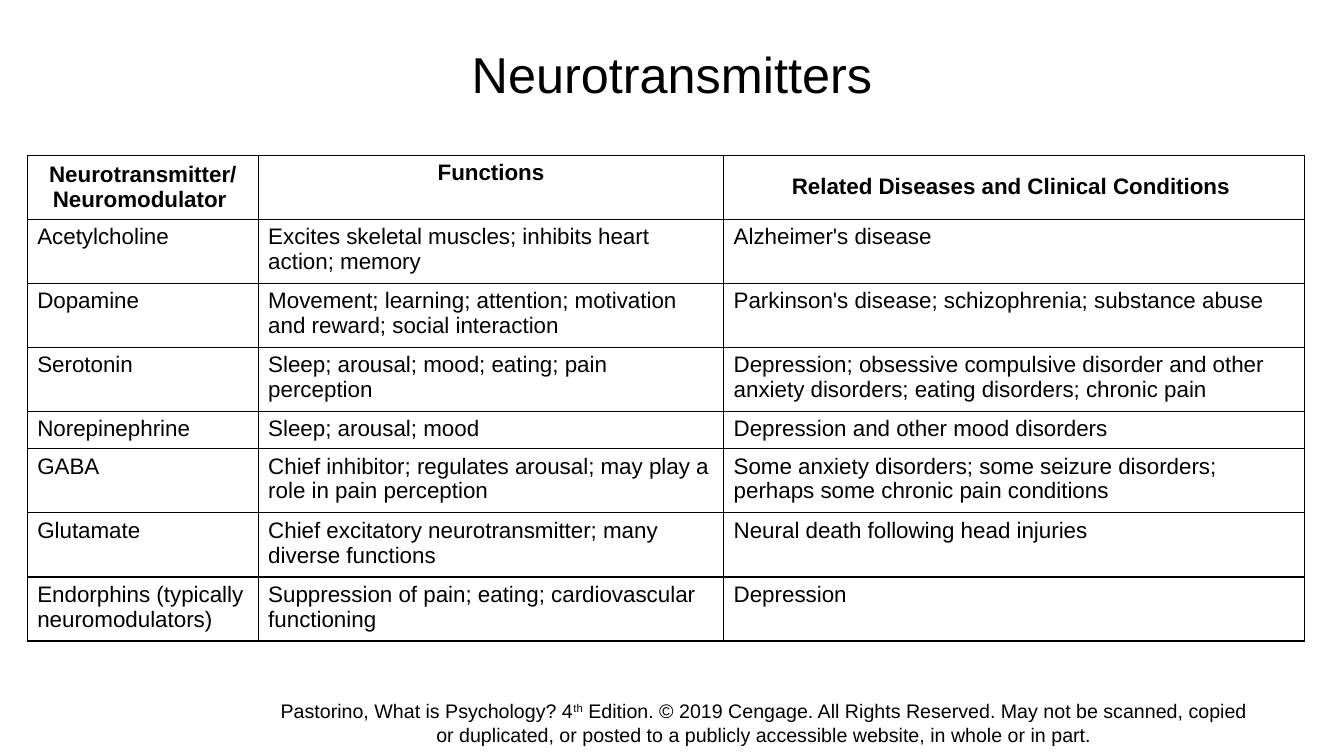
from dataclasses import dataclass

from lxml.etree import SubElement
from pptx import Presentation
from pptx.dml.color import RGBColor
from pptx.enum.text import MSO_ANCHOR as Anchor, PP_ALIGN as Align
from pptx.oxml import parse_xml
from pptx.oxml.ns import nsdecls, qn
from pptx.util import Cm, Pt


@dataclass(frozen=True)
class Theme:
    font: str = "Arial"
    ink: str = "000000"
    paper: str = "FFFFFF"
    title: int = 36
    table: int = 16
    footer: int = 14
    border: float = 1


THEME = Theme()
COLUMN_WIDTHS = (5.82, 11.73, 14.63)
ONE_LINE, TWO_LINES = 0.88, 1.51
HEADINGS = (
    ("Neurotransmitter/\nNeuromodulator ", Anchor.MIDDLE),
    ("Functions", Anchor.TOP),
    ("Related Diseases and Clinical Conditions ", Anchor.MIDDLE),
)
TRANSMITTERS = (
    ("Acetylcholine", "Excites skeletal muscles; inhibits heart action; memory",
     "Alzheimer's disease"),
    ("Dopamine",
     "Movement; learning; attention; motivation and reward; social interaction",
     "Parkinson's disease; schizophrenia; substance abuse"),
    ("Serotonin", "Sleep; arousal; mood; eating; pain perception",
     "Depression; obsessive compulsive disorder and other anxiety disorders; "
     "eating disorders; chronic pain"),
    ("Norepinephrine", "Sleep; arousal; mood",
     "Depression and other mood disorders"),
    ("GABA",
     "Chief inhibitor; regulates arousal; may play a role in pain perception",
     "Some anxiety disorders; some seizure disorders; "
     "perhaps some chronic pain conditions"),
    ("Glutamate", "Chief excitatory neurotransmitter; many diverse functions",
     "Neural death following head injuries"),
    ("Endorphins (typically neuromodulators)",
     "Suppression of pain; eating; cardiovascular functioning", "Depression"),
)
COPYRIGHT = (
    ("Pastorino, What is Psychology? 4", False),
    ("th", True),
    (" Edition. © 2019 Cengage. All Rights Reserved. May not be scanned, "
     "copied or duplicated, or posted to a publicly accessible website, "
     "in whole or in part.", False),
)


def style(paragraph, size, align, bold=False):
    paragraph.alignment = align
    font = paragraph.font
    font.name, font.size, font.bold = THEME.font, Pt(size), bold
    font.color.rgb = RGBColor.from_string(THEME.ink)


def add_frame(slide, box, bottom_inset=0):
    """Add a wrapped, middle-anchored text box and return its text frame."""
    frame = slide.shapes.add_textbox(*map(Cm, box)).text_frame
    frame.word_wrap = True
    frame.vertical_anchor = Anchor.MIDDLE
    frame.margin_left = frame.margin_right = frame.margin_top = 0
    frame.margin_bottom = Cm(bottom_inset)
    return frame


def add_title(slide, box):
    title = add_frame(slide, box).paragraphs[0]
    title.text = "Neurotransmitters"
    title.line_spacing = 0.9
    style(title, THEME.title, Align.CENTER)


def add_footer(slide, box):
    notice = add_frame(slide, box, bottom_inset=0.13).paragraphs[0]
    style(notice, THEME.footer, Align.CENTER)
    for words, raised in COPYRIGHT:
        run = notice.add_run()
        run.text = words
        if raised:
            run._r.get_or_add_rPr().set("baseline", "30000")


def add_borders(cell):
    properties = cell._tc.get_or_add_tcPr()
    for place, side in enumerate(("lnL", "lnR", "lnT", "lnB")):
        line = parse_xml(f'<a:{side} {nsdecls("a")} w="{Pt(THEME.border)}"/>')
        fill = SubElement(line, qn("a:solidFill"))
        SubElement(fill, qn("a:srgbClr"), val=THEME.ink)
        properties.insert(place, line)


def fill_cell(cell, words, anchor=Anchor.TOP, heading=False):
    cell.text = words
    cell.vertical_anchor = anchor
    cell.margin_left = cell.margin_right = Cm(0.25)
    cell.margin_top = cell.margin_bottom = Cm(0.13)
    cell.fill.solid()
    cell.fill.fore_color.rgb = RGBColor.from_string(THEME.paper)
    add_borders(cell)
    for paragraph in cell.text_frame.paragraphs:
        style(paragraph, THEME.table,
              Align.CENTER if heading else Align.LEFT, heading)
        # Row heights are measured from the run size.
        for run in paragraph.runs:
            run.font.size = Pt(THEME.table)


def add_transmitter_table(slide, left, top):
    heights = [TWO_LINES] + [
        ONE_LINE if name == "Norepinephrine" else TWO_LINES
        for name, *_ in TRANSMITTERS]
    table = slide.shapes.add_table(
        len(heights), len(COLUMN_WIDTHS), Cm(left), Cm(top),
        Cm(sum(COLUMN_WIDTHS)), Cm(sum(heights))).table
    table.first_row = table.horz_banding = False
    for column, width in zip(table.columns, COLUMN_WIDTHS):
        column.width = Cm(width)
    for row, height in zip(table.rows, heights):
        row.height = Cm(height)
    for column, (words, anchor) in enumerate(HEADINGS):
        fill_cell(table.cell(0, column), words, anchor, heading=True)
    for row, entry in enumerate(TRANSMITTERS, start=1):
        for column, words in enumerate(entry):
            fill_cell(table.cell(row, column), words)


def main():
    deck = Presentation()
    deck.slide_width, deck.slide_height = Cm(33.87), Cm(19.05)
    slide = deck.slides.add_slide(deck.slide_layouts[6])
    add_footer(slide, (6.96, 17.61, 24.59, 1.32))
    add_title(slide, (2.33, 1, 29.21, 1.88))
    add_transmitter_table(slide, 0.69, 3.91)
    deck.save("out.pptx")


if __name__ == "__main__":
    main()
